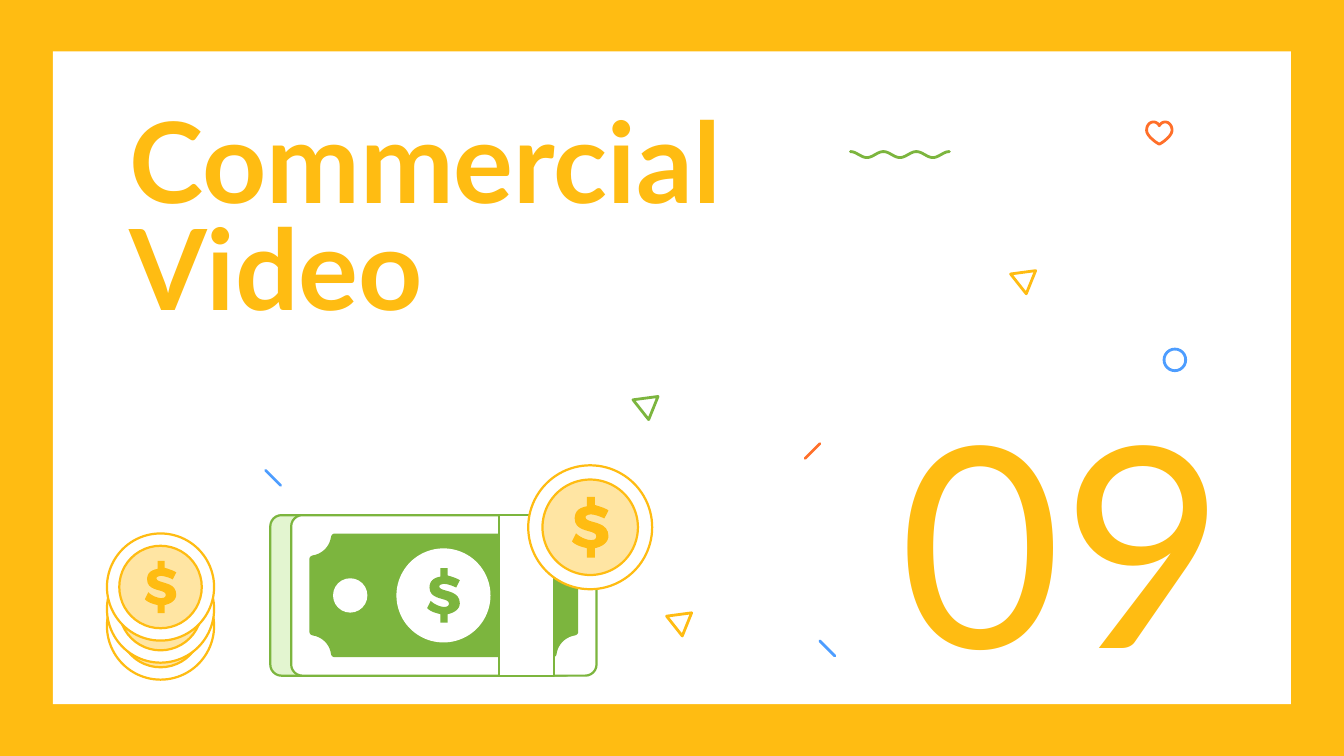
from math import cos, pi
from lxml.etree import SubElement
from pptx import Presentation
from pptx.dml.color import RGBColor
from pptx.enum.shapes import MSO_CONNECTOR, MSO_SHAPE
from pptx.enum.text import MSO_ANCHOR, MSO_AUTO_SIZE, PP_ALIGN
from pptx.oxml.ns import qn
from pptx.util import Pt

GOLD, GREEN, BLUE, CORAL = "FFBC12", "7CB53E", "4D9DFF", "FF6F29"
WHITE, CREAM, MINT = "FFFFFF", "FFE5A3", "E3F5D0"
THIN, THICK = 1.2, 1.5

DOLLAR = [
    (11, 0), (11, 7), (5, 8, 2, 11, 2, 16), (2, 27, 18, 24, 18, 29),
    (18, 31, 17, 32, 14, 32), (11, 32, 6, 30, 3, 27), (0, 33),
    (3, 36, 7, 37, 11, 38), (11, 45), (17, 45), (17, 38),
    (22, 37, 27, 34, 27, 29), (27, 17, 10, 20, 10, 15),
    (10, 14, 12, 13, 14, 13), (16, 13, 20, 14, 24, 16), (27, 10),
    (24, 8, 20, 7, 17, 6), (17, 0),
]
HEART = [
    (6.8, 11.9), (5, 10.8), (0, 7.2, 0, 5, 0, 4.3), (0, 2.2, 1.4, 0, 3.6, 0),
    (5, 0, 6.1, 0.7, 6.8, 2), (7.5, 0.7, 8.6, 0, 10, 0),
    (12.2, 0, 13.6, 2.2, 13.6, 4.3), (13.6, 5, 13.6, 7.2, 8.6, 10.8),
]
CORNER = [
    (0, 13.7), (0, 12.6, 0.7, 12, 1.6, 11.7), (7, 10.9, 10.9, 6.8, 11.6, 1.6),
    (11.8, 0.7, 12.6, 0, 13.5, 0),
]


def color(code):
    return RGBColor.from_string(code)


def style(shape, fill=None, line=None, width=THIN):
    shape.shadow.inherit = False
    if fill:
        shape.fill.solid()
        shape.fill.fore_color.rgb = color(fill)
    else:
        shape.fill.background()
    if line:
        stroke(shape, line, width)
    else:
        shape.line.fill.background()


def stroke(shape, line, width):
    shape.line.color.rgb = color(line)
    shape.line.width = Pt(width)
    shape._element.spPr.find(qn("a:ln")).set("cap", "rnd")


def block(slide, kind, x, y, w, h, fill, line=None):
    shape = slide.shapes.add_shape(kind, Pt(x), Pt(y), Pt(w), Pt(h))
    style(shape, fill, line)
    return shape


def disc(slide, x, y, r, fill, line=None):
    return block(slide, MSO_SHAPE.OVAL, x - r, y - r, 2 * r, 2 * r, fill, line)


def trace(steps, count=10):
    dots = []
    for step in steps:
        if len(step) == 2:
            dots.append(step)
            continue
        pairs = [dots[-1], step[:2], step[2:4], step[4:]]
        for n in range(1, count + 1):
            t = n / count
            parts = ((1 - t) ** 3, 3 * t * (1 - t) ** 2, 3 * t * t * (1 - t), t ** 3)
            dots.append(tuple(sum(p * d[i] for p, d in zip(parts, pairs)) for i in (0, 1)))
    return dots


def draw(slide, dots, x, y, scale=1, close=True):
    spots = [(Pt(x + a * scale), Pt(y + b * scale)) for a, b in dots]
    form = slide.shapes.build_freeform(*spots[0], scale=1.0)
    form.add_line_segments(spots[1:], close=close)
    return form.convert_to_shape()


def dollar(slide, x, y, high, fill):
    scale = high / 45
    style(draw(slide, trace(DOLLAR), x - 13.5 * scale, y - high / 2, scale), fill)


def coin(slide, x, y, r):
    disc(slide, x, y, r, WHITE, GOLD)
    disc(slide, x, y, r * 0.77, CREAM, GOLD)
    dollar(slide, x, y, r * 0.98, GOLD)


def dash(slide, x, y, rise, code):
    ends = (y + 8, y) if rise else (y, y + 8)
    line = slide.shapes.add_connector(
        MSO_CONNECTOR.STRAIGHT, Pt(x), Pt(ends[0]), Pt(x + 8), Pt(ends[1]))
    stroke(line, code, THICK)
    SubElement(line._element.spPr, qn("a:effectLst"))


def write(shape, text, box, size, bold, align, anchor, space):
    shape.left, shape.top, shape.width, shape.height = map(Pt, box)
    frame = shape.text_frame
    frame.word_wrap = True
    frame.auto_size = MSO_AUTO_SIZE.NONE
    frame.vertical_anchor = anchor
    frame.margin_left = frame.margin_right = Pt(7.2)
    frame.margin_top = frame.margin_bottom = Pt(7.2)
    frame.text = text
    para = frame.paragraphs[0]
    para.alignment = align
    para.line_spacing = space
    para.font.name = "Lato"
    para.font.size = Pt(size)
    para.font.bold = bold
    para.font.color.rgb = color(GOLD)


def confetti(slide):
    dash(slide, 431.3, 237.6, True, CORAL)
    dash(slide, 142.3, 252, False, BLUE)
    dash(slide, 439.2, 343.4, False, BLUE)
    for x, y, code in ((541.4, 145, GOLD), (357.1, 328.3, GOLD), (339.1, 212.4, GREEN)):
        style(draw(slide, [(13.4, 0), (0, 1.8), (8.4, 12.4)], x, y), None, code, THICK)
    wave = [(53 * n / 60, -1.6 * cos(n * pi / 10)) for n in range(61)]
    style(draw(slide, wave, 455.6, 82.8, close=False), None, GREEN, THICK)
    style(draw(slide, trace(HEART), 614.3, 65.4), None, CORAL, THICK)
    style(disc(slide, 629.4, 192.8, 5.8, WHITE), None, BLUE, THICK)


def bills(slide):
    for x, fill in ((144.8, MINT), (156, WHITE)):
        bill = block(slide, MSO_SHAPE.ROUNDED_RECTANGLE, x, 276, 163.6, 86, fill, GREEN)
        bill.adjustments[0] = 0.07
    wide, high = 144, 66.2
    edge = trace(CORNER)
    back = edge[::-1]
    dots = edge + [(wide - a, b) for a, b in back]
    dots += [(wide - a, high - b) for a, b in edge] + [(a, high - b) for a, b in back]
    style(draw(slide, dots, 165.8, 285.9), GREEN)
    disc(slide, 237.6, 319, 25.2, WHITE)
    dollar(slide, 237.6, 319, 29.2, GREEN)
    disc(slide, 187.6, 319, 9.2, WHITE)
    block(slide, MSO_SHAPE.RECTANGLE, 267.2, 276, 29.6, 86, WHITE, GREEN)


def main():
    deck = Presentation()
    deck.slide_width, deck.slide_height = Pt(720), Pt(405)
    slide = deck.slides.add_slide(deck.slide_layouts[5])
    title = slide.shapes.title
    block(slide, MSO_SHAPE.RECTANGLE, -4.3, -1.5, 728.6, 408, GOLD)
    block(slide, MSO_SHAPE.RECTANGLE, 28.3, 27.5, 663.3, 349.8, WHITE)
    confetti(slide)
    slide.shapes._spTree.append(title._element)
    write(title, "Commercial Video", (62, 55.5, 379, 127.5), 60, True,
          PP_ALIGN.LEFT, MSO_ANCHOR.TOP, 0.8)
    label = slide.shapes.add_textbox(0, 0, 0, 0)
    write(label, "09", (387.4, 212.4, 275.8, 149.8), 150, False,
          PP_ALIGN.RIGHT, MSO_ANCHOR.MIDDLE, 1.0)
    bills(slide)
    coin(slide, 316.2, 282.5, 33.2)
    for y in (335.4, 326.3, 314.5):
        coin(slide, 86, y, 28.7)
    deck.save("out.pptx")


if __name__ == "__main__":
    main()
